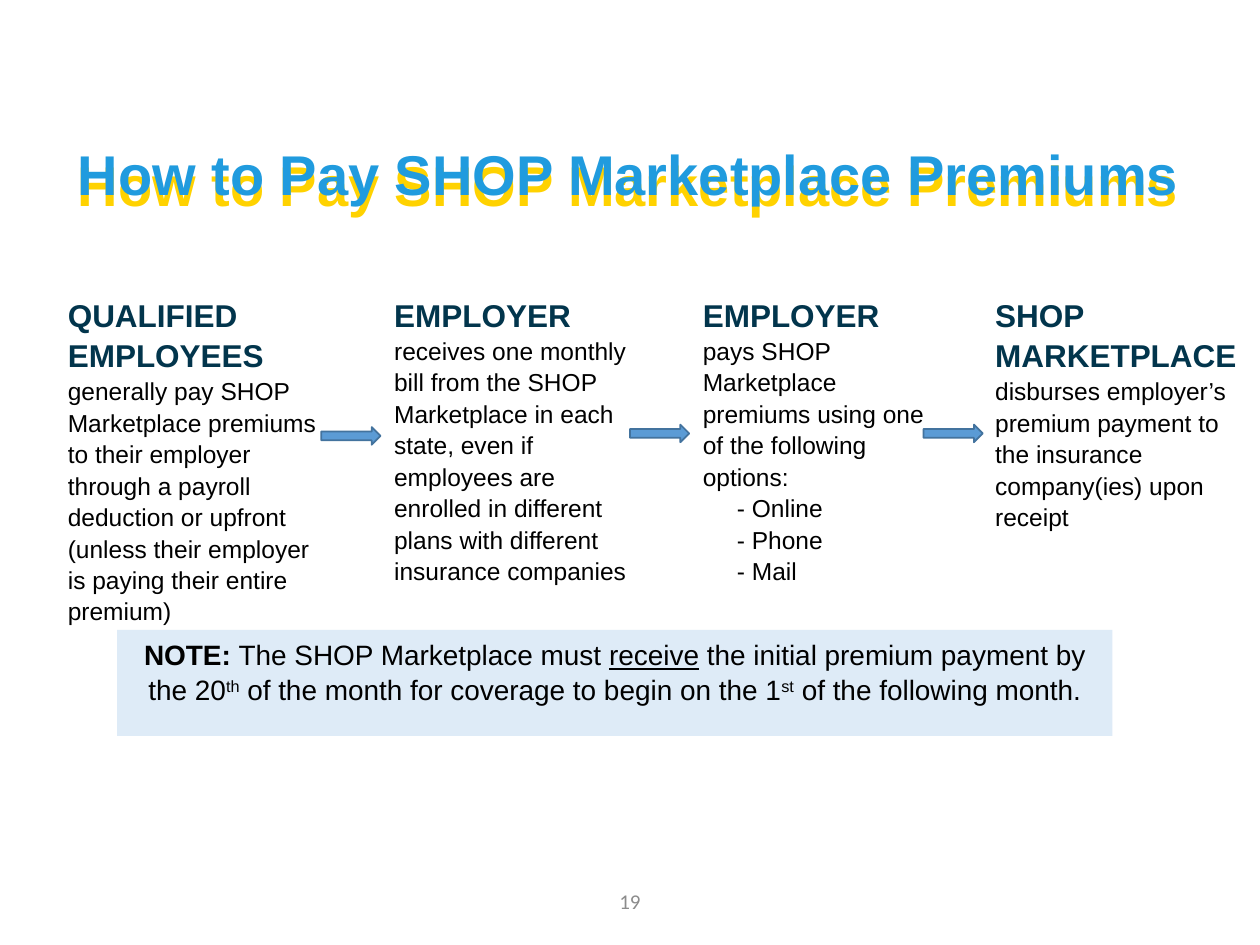
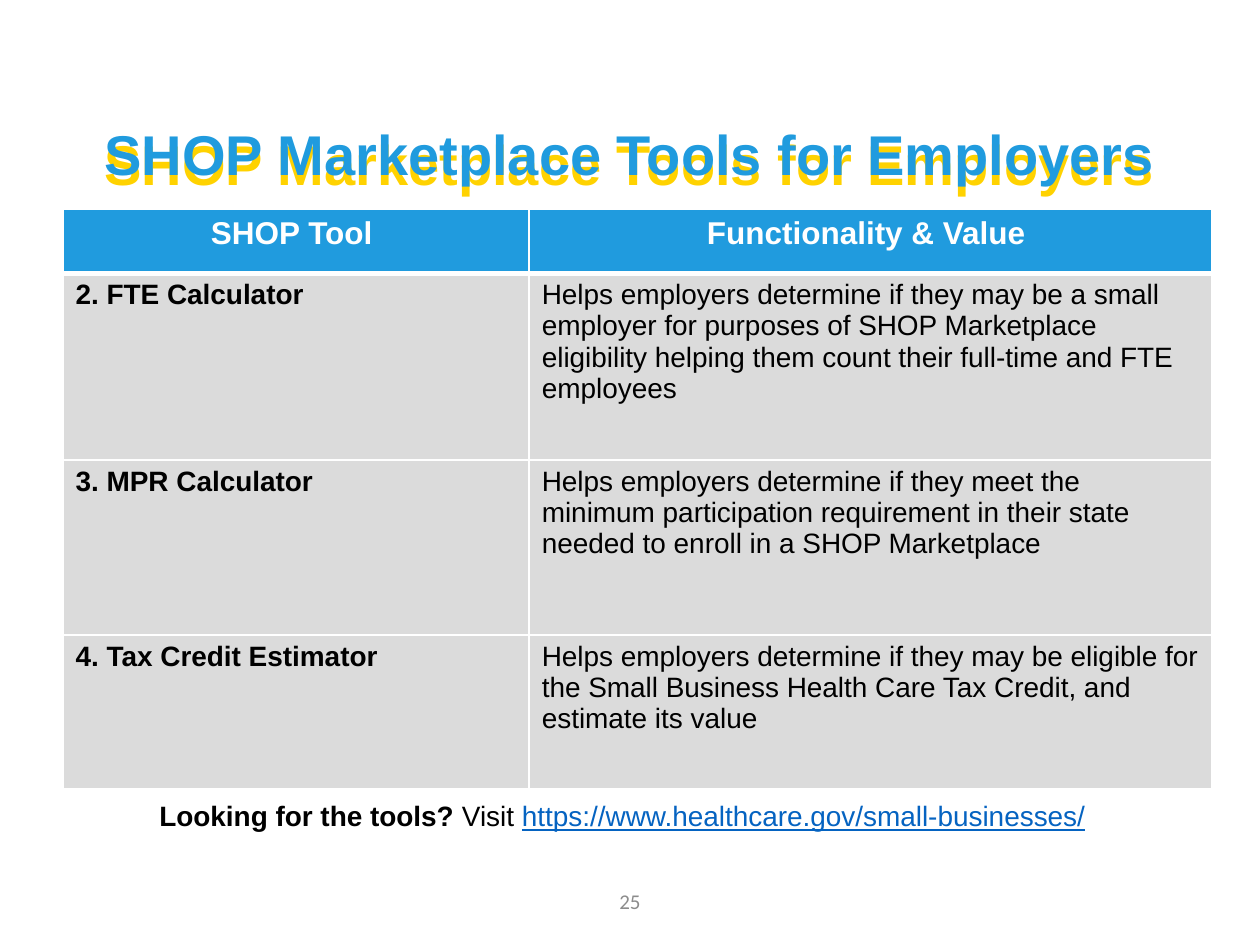
from dataclasses import dataclass

from lxml import etree
from pptx import Presentation
from pptx import util as u
from pptx.dml import color
from pptx.enum import shapes, text
from pptx.oxml import ns


@dataclass(frozen=True)
class Theme:
    """Colours, fonts and type sizes shared by the slides."""
    sky: str = "209BDE"
    gold: str = "FFD200"
    navy: str = "02354C"
    black: str = "000000"
    white: str = "FFFFFF"
    grey: str = "8C8C8C"
    link: str = "0563C1"
    note_fill: str = "DEEBF7"
    row_fill: str = "DBDBDB"
    arrow_fill: str = "5B9BD5"
    arrow_line: str = "43739E"
    font: str = "Arial"
    number_font: str = "Calibri"
    title_size: int = 32
    heading_size: int = 18
    note_size: int = 16
    body_size: int = 14
    number_size: int = 12


@dataclass(frozen=True)
class Box:
    left: float
    top: float
    width: float
    height: float

    def lengths(self):
        return [u.Inches(v) for v in (self.left, self.top, self.width, self.height)]


@dataclass(frozen=True)
class Run:
    words: str
    size: int
    colour: str = "000000"
    bold: bool = False
    underline: bool = False
    raised: bool = False
    font: str = "Arial"


@dataclass(frozen=True)
class Step:
    """One party in the payment flow."""
    left: float
    width: float
    heading: str
    action: str
    options: tuple = ()


THEME = Theme()
CENTER = text.PP_ALIGN.CENTER
LEFT = text.PP_ALIGN.LEFT
MIDDLE = text.MSO_ANCHOR.MIDDLE


def rgb(value: str) -> color.RGBColor:
    return color.RGBColor.from_string(value)


def write(frame, paragraphs, align=LEFT, spacing=None) -> None:
    """Fill a text frame with paragraphs, each a list of runs."""
    frame.word_wrap = True
    frame.auto_size = text.MSO_AUTO_SIZE.NONE
    for index, runs in enumerate(paragraphs):
        line = frame.paragraphs[0] if index == 0 else frame.add_paragraph()
        line.alignment = align
        if spacing:
            line.line_spacing = spacing
        for part in runs:
            run = line.add_run()
            run.text = part.words
            run.font.size = u.Pt(part.size)
            run.font.name = part.font
            run.font.bold = part.bold
            run.font.underline = part.underline
            run.font.color.rgb = rgb(part.colour)
            if part.raised:
                run.font._element.set("baseline", "30000")


def add_textbox(slide, box: Box, paragraphs, align=LEFT, spacing=None):
    frame = slide.shapes.add_textbox(*box.lengths()).text_frame
    write(frame, paragraphs, align, spacing)
    return frame


def start_slide(deck, heading: str, box: Box, number: str, spacing=None):
    """Add a slide with its gold-shadowed title and slide number."""
    slide = deck.slides.add_slide(deck.slide_layouts[5])
    title = slide.shapes.title
    title.left, title.top, title.width, title.height = box.lengths()
    title.fill.background()
    write(title.text_frame, [[Run(heading, THEME.title_size, THEME.sky, True)]],
          CENTER, spacing)
    title.text_frame.vertical_anchor = MIDDLE

    # Shadow straight below the title letters
    effects = etree.SubElement(title._element.spPr, ns.qn("a:effectLst"))
    shadow = etree.SubElement(effects, ns.qn("a:outerShdw"), dist="76200",
                              dir="5400000", algn="t", rotWithShape="0")
    etree.SubElement(shadow, ns.qn("a:srgbClr"), val=THEME.gold)

    footer = add_textbox(slide, Box(0, 6.95, 10, 0.4),
                         [[Run(number, THEME.number_size, THEME.grey,
                               font=THEME.number_font)]], CENTER)
    footer.vertical_anchor = MIDDLE
    return slide


def add_filled(slide, kind, box: Box, fill: str, line: str = ""):
    shape = slide.shapes.add_shape(kind, *box.lengths())
    shape.shadow.inherit = False
    shape.fill.solid()
    shape.fill.fore_color.rgb = rgb(fill)
    if line:
        shape.line.color.rgb = rgb(line)
        shape.line.width = u.Pt(1)
    else:
        shape.line.fill.background()
    return shape


def add_step(slide, step: Step) -> None:
    lines = [[Run(step.heading, THEME.heading_size, THEME.navy, True)]]
    lines += [[Run(words, THEME.body_size)] for words in (step.action, *step.options)]
    frame = add_textbox(slide, Box(step.left, 2.28, step.width, 2.37), lines,
                        spacing=1.07)
    for option in frame.paragraphs[2:]:
        option._p.get_or_add_pPr().set("marL", str(u.Inches(0.27)))


def fill_cell(cell, run: Run, fill: str, align, bottom: float) -> None:
    """Write a cell and give it white rules and a flat fill."""
    write(cell.text_frame, [[run]], align)
    properties = cell._tc.get_or_add_tcPr()
    for side, points in (("L", 1), ("R", 1), ("T", 1), ("B", bottom)):
        rule = etree.SubElement(properties, ns.qn(f"a:ln{side}"), w=str(u.Pt(points)))
        paint = etree.SubElement(rule, ns.qn("a:solidFill"))
        etree.SubElement(paint, ns.qn("a:srgbClr"), val=THEME.white)
    cell.fill.solid()
    cell.fill.fore_color.rgb = rgb(fill)


STEPS = (
    Step(0.44, 2.2, "QUALIFIED EMPLOYEES",
         "generally pay SHOP Marketplace premiums to their employer through a "
         "payroll deduction or upfront (unless their employer is paying their "
         "entire premium)"),
    Step(3.03, 2.07, "EMPLOYER",
         "receives one monthly bill from the SHOP Marketplace in each state, even "
         "if employees are enrolled in different plans with different insurance "
         "companies"),
    Step(5.48, 2.1, "EMPLOYER",
         "pays SHOP Marketplace premiums using one of the following options:",
         ("- Online", "- Phone", "- Mail")),
    Step(7.8, 2.2, "SHOP MARKETPLACE",
         "disburses employer\u2019s premium payment to the insurance company(ies) "
         "upon receipt"),
)
ARROWS = ((2.55, 3.39), (5, 3.37), (7.33, 3.37))
TOOLS = (
    ("SHOP Tool ", "Functionality & Value "),
    ("2. FTE Calculator",
     "Helps employers determine if they may be a small employer for purposes of "
     "SHOP Marketplace eligibility helping them count their full-time and FTE "
     "employees"),
    ("3. MPR Calculator",
     "Helps employers determine if they meet the minimum participation "
     "requirement in their state needed to enroll in a SHOP Marketplace"),
    ("4. Tax Credit Estimator",
     "Helps employers determine if they may be eligible for the Small Business "
     "Health Care Tax Credit, and estimate its value"),
)


def build_premiums(deck) -> None:
    slide = start_slide(deck, "How to Pay SHOP Marketplace Premiums",
                        Box(0.49, 0.92, 9, 0.98), "19", spacing=0.9)
    for step in STEPS:
        add_step(slide, step)

    # Deadline note
    note = add_filled(slide, shapes.MSO_SHAPE.RECTANGLE, Box(0.93, 5, 7.9, 0.84),
                      THEME.note_fill)
    size = THEME.note_size
    write(note.text_frame, [[
        Run("NOTE: ", size, bold=True),
        Run("The SHOP Marketplace must ", size),
        Run("receive", size, underline=True),
        Run(" the initial premium payment by the 20", size),
        Run("th", size, raised=True),
        Run(" of the month for coverage to begin on the 1", size),
        Run("st", size, raised=True),
        Run(" of the following month.", size),
    ]], CENTER, 1.05)
    note.text_frame.vertical_anchor = text.MSO_ANCHOR.TOP

    # Flow from one party to the next
    for left, top in ARROWS:
        add_filled(slide, shapes.MSO_SHAPE.RIGHT_ARROW, Box(left, top, 0.47, 0.14),
                   THEME.arrow_fill, THEME.arrow_line)


def build_tools(deck) -> None:
    slide = start_slide(deck, "SHOP Marketplace Tools for Employers",
                        Box(0, 0.86, 10, 0.71), "25")
    size = THEME.note_size
    add_textbox(slide, Box(0, 6.29, 9.88, 0.37), [[
        Run("Looking for the tools? ", size, bold=True),
        Run("Visit ", size),
        Run("https://www.healthcare.gov/small-businesses/", size, THEME.link,
            underline=True),
    ]], CENTER)

    # Tool table
    tools = slide.shapes.add_table(len(TOOLS), 2,
                                   *Box(0.5, 1.66, 9.12, 4.6).lengths()).table
    for column, width in zip(tools.columns, (3.7, 5.42)):
        column.width = u.Inches(width)
    for row, height in zip(tools.rows, (0.51, 1.48, 1.39, 1.22)):
        row.height = u.Inches(height)
    for r, entries in enumerate(TOOLS):
        for c, words in enumerate(entries):
            if r == 0:
                fill_cell(tools.cell(r, c),
                          Run(words, THEME.heading_size, THEME.white, True),
                          THEME.sky, CENTER, 3)
            else:
                fill_cell(tools.cell(r, c), Run(words, size, bold=c == 0),
                          THEME.row_fill, LEFT, 1)


deck = Presentation()
deck.slide_width, deck.slide_height = u.Inches(10), u.Inches(7.5)
build_premiums(deck)
build_tools(deck)
deck.save("out.pptx")
